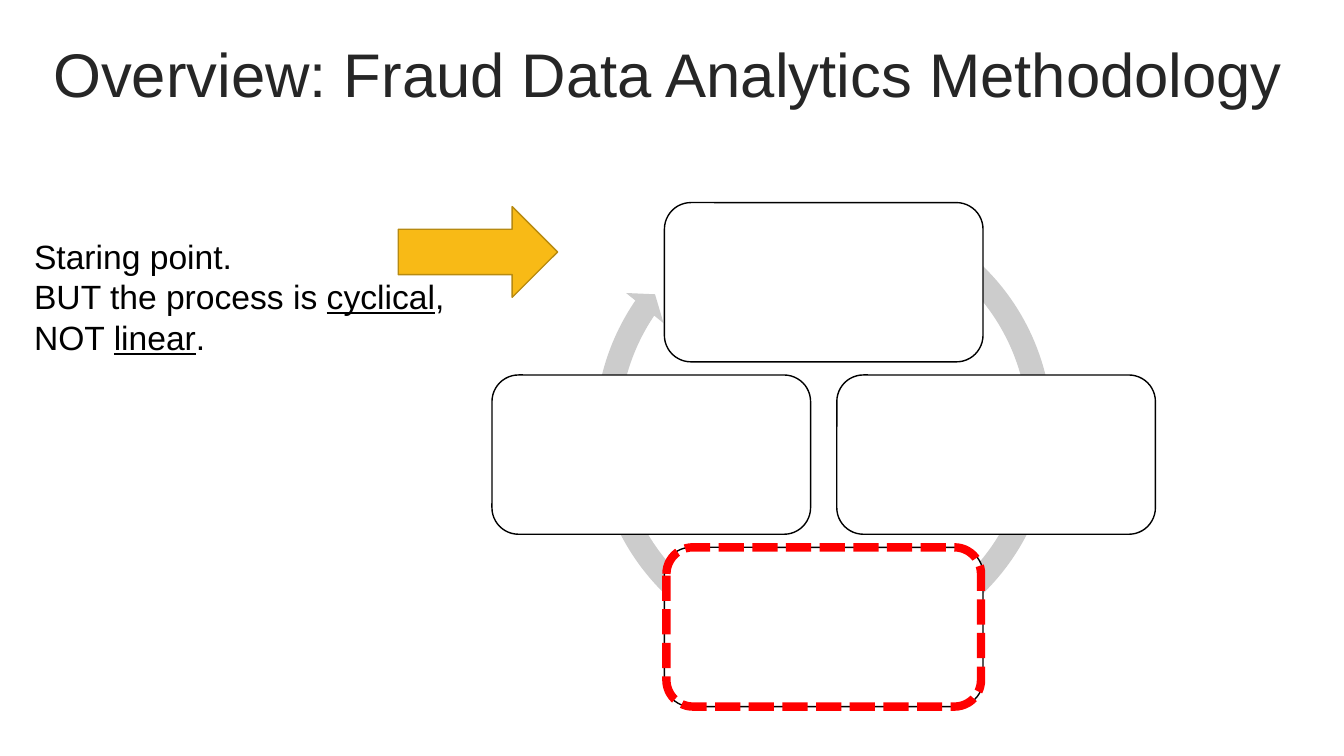
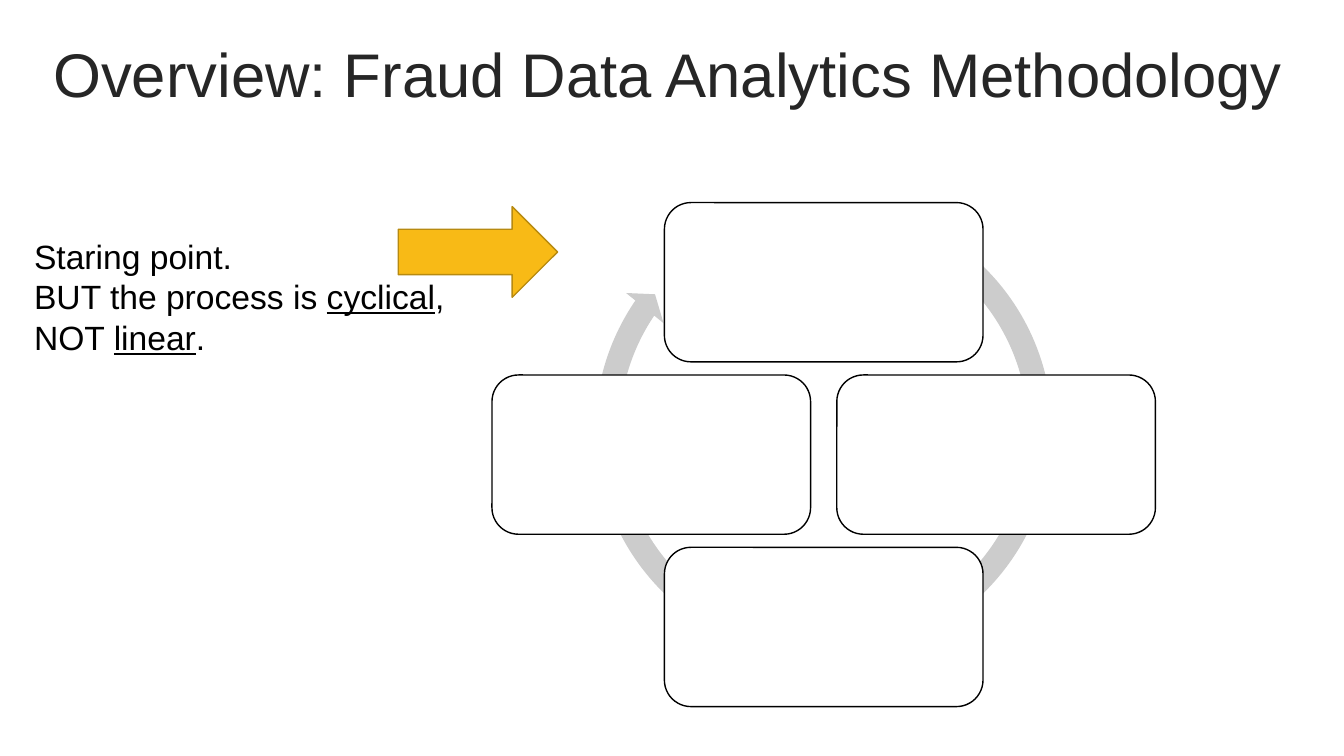
from pptx import Presentation
from pptx.dml import color
from pptx.enum import dml, shapes, text
from pptx.util import Inches, Pt

TITLE = "Overview: Fraud Data Analytics Methodology"
NOTE = [
    [("Staring point.", False)],
    [("BUT the process is ", False), ("cyclical", True), (",", False)],
    [("NOT ", False), ("linear", True), (".", False)],
]
STAGE_WIDTH, STAGE_HEIGHT = 3.16, 1.58
CYCLE_X, CYCLE_Y = 8.17, 4.51
STEP = 1.71
STAGE_OFFSETS = [(0, -STEP), (STEP, 0), (0, STEP), (-STEP, 0)]
RING_SIZE = 4.77
RING_ANGLES = [0.05, 2.73, 128.55, 180.15, 0.05]


def rgb(value):
    return color.RGBColor.from_string(value)


class Deck:
    FONT = "Arial"
    INK = "000000"
    TITLE_INK = "262626"
    PAPER = "FFFFFF"
    RING = "CCCCCC"
    POINTER = "F8BA16"
    POINTER_EDGE = "B78A10"
    HIGHLIGHT = "FF0000"

    def __init__(self):
        self.prs = Presentation()
        self.prs.slide_width = Inches(13.33)
        self.prs.slide_height = Inches(7.5)
        self.slide = None

    def style(self, paragraph, size, ink):
        paragraph.font.name = self.FONT
        paragraph.font.size = Pt(size)
        paragraph.font.color.rgb = rgb(ink)

    def new_slide(self, heading):
        self.slide = self.prs.slides.add_slide(self.prs.slide_layouts[5])
        title = self.slide.shapes.title
        title.left, title.top = Inches(0), Inches(0.37)
        title.width, title.height = Inches(13.26), Inches(0.79)
        frame = title.text_frame
        frame.text = heading
        frame.vertical_anchor = text.MSO_ANCHOR.MIDDLE
        frame.auto_size = text.MSO_AUTO_SIZE.NONE
        paragraph = frame.paragraphs[0]
        paragraph.alignment = text.PP_ALIGN.CENTER
        paragraph.line_spacing = 0.9
        self.style(paragraph, 44, self.TITLE_INK)

    def shape(self, kind, left, top, width, height, fill=None, line=None, weight=1):
        shape = self.slide.shapes.add_shape(
            kind, Inches(left), Inches(top), Inches(width), Inches(height))
        shape.shadow.inherit = False
        if fill:
            shape.fill.solid()
            shape.fill.fore_color.rgb = rgb(fill)
        else:
            shape.fill.background()
        if line:
            shape.line.color.rgb = rgb(line)
            shape.line.width = Pt(weight)
        else:
            shape.line.fill.background()
        return shape

    def cycle(self):
        ring = self.shape(
            shapes.MSO_SHAPE.CIRCULAR_ARROW, CYCLE_X - RING_SIZE / 2, 1.88,
            RING_SIZE, RING_SIZE, self.RING)
        for index, value in enumerate(RING_ANGLES):
            ring.adjustments[index] = value
        for dx, dy in STAGE_OFFSETS:
            self.shape(
                shapes.MSO_SHAPE.ROUNDED_RECTANGLE,
                CYCLE_X + dx - STAGE_WIDTH / 2, CYCLE_Y + dy - STAGE_HEIGHT / 2,
                STAGE_WIDTH, STAGE_HEIGHT, self.PAPER, self.INK)

    def pointer(self):
        self.shape(shapes.MSO_SHAPE.RIGHT_ARROW, 3.95, 2.05, 1.58, 0.9,
                   self.POINTER, self.POINTER_EDGE)

    def note(self, lines):
        box = self.slide.shapes.add_textbox(
            Inches(0.24), Inches(2.29), Inches(4.7), Inches(1.31))
        frame = box.text_frame
        frame.word_wrap = True
        frame.auto_size = text.MSO_AUTO_SIZE.SHAPE_TO_FIT_TEXT
        for index, pieces in enumerate(lines):
            paragraph = frame.add_paragraph() if index else frame.paragraphs[0]
            self.style(paragraph, 24, self.INK)
            for words, underlined in pieces:
                run = paragraph.add_run()
                run.text = words
                if underlined:
                    run.font.underline = True

    def highlight_last_stage(self):
        width = 3.12
        frame = self.shape(
            shapes.MSO_SHAPE.ROUNDED_RECTANGLE, CYCLE_X - width / 2,
            CYCLE_Y + STEP - STAGE_HEIGHT / 2, width, STAGE_HEIGHT,
            line=self.HIGHLIGHT, weight=6)
        frame.line.dash_style = dml.MSO_LINE.SQUARE_DOT


def main():
    deck = Deck()
    for highlighted in (True, False):
        deck.new_slide(TITLE)
        deck.cycle()
        deck.pointer()
        deck.note(NOTE)
        if highlighted:
            deck.highlight_last_stage()
    deck.prs.save("out.pptx")


if __name__ == "__main__":
    main()
